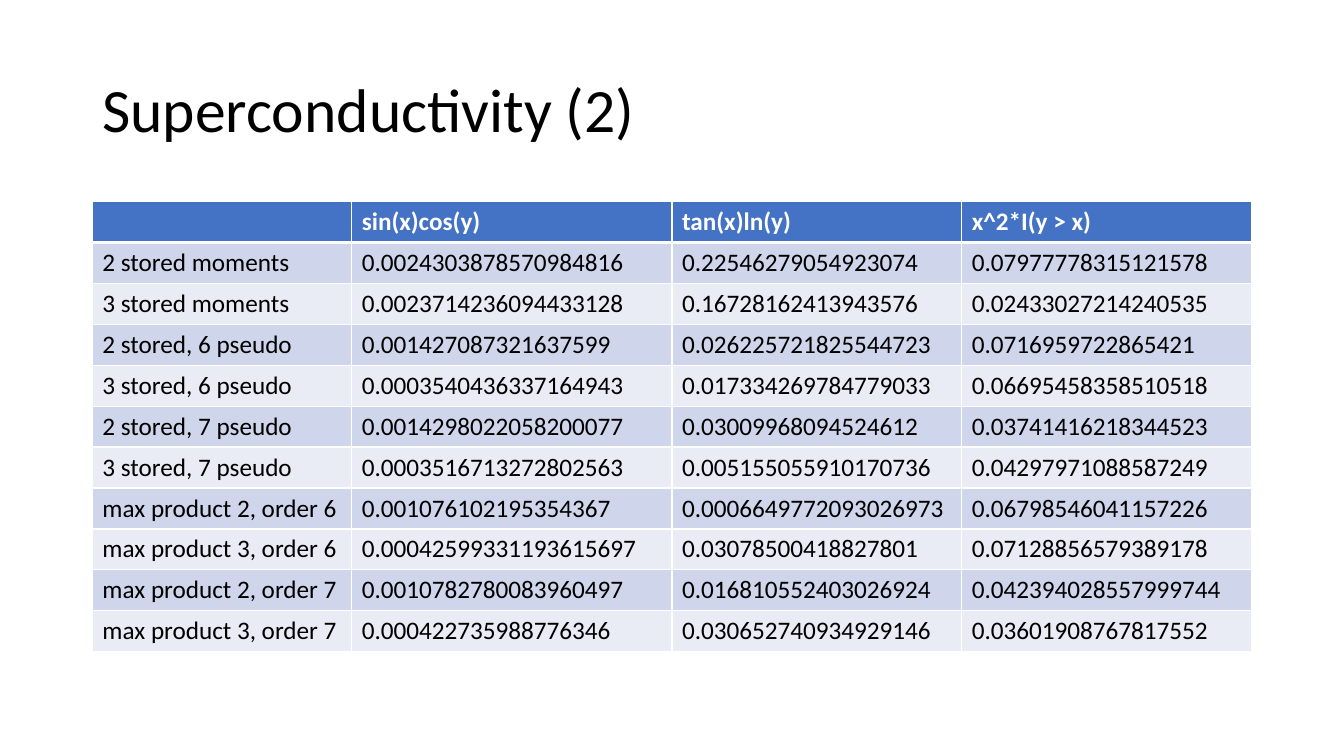
from lxml.etree import SubElement
from pptx import Presentation
from pptx.dml.color import RGBColor
from pptx.enum.text import MSO_ANCHOR
from pptx.oxml.ns import qn
from pptx.util import Pt

EMU_PER_PX = 9525
BLACK = RGBColor(0x00, 0x00, 0x00)
WHITE = RGBColor(0xFF, 0xFF, 0xFF)
HEADER_BLUE = RGBColor(0x44, 0x72, 0xC4)
BANDS = (RGBColor(0xE9, 0xEB, 0xF5), RGBColor(0xCF, 0xD5, 0xEA))

TITLE_FORMAT = {"name": "Calibri", "size": Pt(44), "bold": False}
BODY_FORMAT = {"name": "Calibri", "size": Pt(18), "bold": False}
HEADER_FORMAT = {**BODY_FORMAT, "bold": True}
HEADER_BORDERS = {"lnL": 1, "lnR": 1, "lnT": 1, "lnB": 3}
BODY_BORDERS = {"lnL": 1, "lnR": 1, "lnB": 1}

COLUMN_WIDTHS = (247, 305, 276, 276)
ROW_HEIGHT = 39
ROWS = (
    ("", "sin(x)cos(y)", "tan(x)ln(y)", "x^2*I(y > x)"),
    ("2 stored moments", "0.0024303878570984816", "0.22546279054923074", "0.07977778315121578"),
    ("3 stored moments", "0.0023714236094433128", "0.16728162413943576", "0.02433027214240535"),
    ("2 stored, 6 pseudo", "0.001427087321637599", "0.026225721825544723", "0.0716959722865421"),
    ("3 stored, 6 pseudo", "0.0003540436337164943", "0.017334269784779033", "0.06695458358510518"),
    ("2 stored, 7 pseudo", "0.0014298022058200077", "0.03009968094524612", "0.03741416218344523"),
    ("3 stored, 7 pseudo", "0.0003516713272802563", "0.005155055910170736", "0.04297971088587249"),
    ("max product 2, order 6", "0.001076102195354367", "0.0006649772093026973", "0.06798546041157226"),
    ("max product 3, order 6", "0.00042599331193615697", "0.03078500418827801", "0.07128856579389178"),
    ("max product 2, order 7", "0.0010782780083960497", "0.016810552403026924", "0.042394028557999744"),
    ("max product 3, order 7", "0.000422735988776346", "0.030652740934929146", "0.03601908767817552"),
)


def px(length):
    """Turn whole pixels into EMU."""
    return length * EMU_PER_PX


def write(paragraph, text, font_format, color):
    """Put one formatted run into a paragraph."""
    run = paragraph.add_run()
    run.text = text
    for name, value in font_format.items():
        setattr(run.font, name, value)
    run.font.color.rgb = color


def add_title(slide, text, box):
    """Add the vertically centred slide title."""
    frame = slide.shapes.add_textbox(*map(px, box)).text_frame
    frame.word_wrap = True
    frame.vertical_anchor = MSO_ANCHOR.MIDDLE
    paragraph = frame.paragraphs[0]
    paragraph.line_spacing = 0.9
    write(paragraph, text, TITLE_FORMAT, BLACK)


def draw_borders(cell, borders):
    """Give a cell white borders of the given point widths."""
    properties = cell._tc.get_or_add_tcPr()
    for side, width in borders.items():
        line = SubElement(properties, qn(f"a:{side}"), w=str(Pt(width)))
        fill = SubElement(line, qn("a:solidFill"))
        SubElement(fill, qn("a:srgbClr"), val=str(WHITE))


def fill_cell(cell, text, fill, borders, font_format, color):
    """Set the borders, fill and text of a table cell."""
    draw_borders(cell, borders)
    cell.fill.solid()
    cell.fill.fore_color.rgb = fill
    if text:
        write(cell.text_frame.paragraphs[0], text, font_format, color)


def add_results_table(slide, left, top):
    """Add the table of errors with a header and banded rows."""
    size = sum(COLUMN_WIDTHS), ROW_HEIGHT * len(ROWS)
    table = slide.shapes.add_table(
        len(ROWS), len(COLUMN_WIDTHS), *map(px, (left, top, *size))
    ).table
    for column, width in zip(table.columns, COLUMN_WIDTHS):
        column.width = px(width)
    for index, texts in enumerate(ROWS):
        table.rows[index].height = px(ROW_HEIGHT)
        style = (BANDS[index % 2], BODY_BORDERS, BODY_FORMAT, BLACK)
        if index == 0:
            style = (HEADER_BLUE, HEADER_BORDERS, HEADER_FORMAT, WHITE)
        for cell, text in zip(table.rows[index].cells, texts):
            fill_cell(cell, text, *style)


def main():
    """Build and save the slide."""
    presentation = Presentation()
    presentation.slide_width = px(1280)
    presentation.slide_height = px(720)
    slide = presentation.slides.add_slide(presentation.slide_layouts[6])
    add_title(slide, "Superconductivity (2)", (88, 38, 1104, 139))
    add_results_table(slide, 88, 192)
    presentation.save("out.pptx")


if __name__ == "__main__":
    main()
